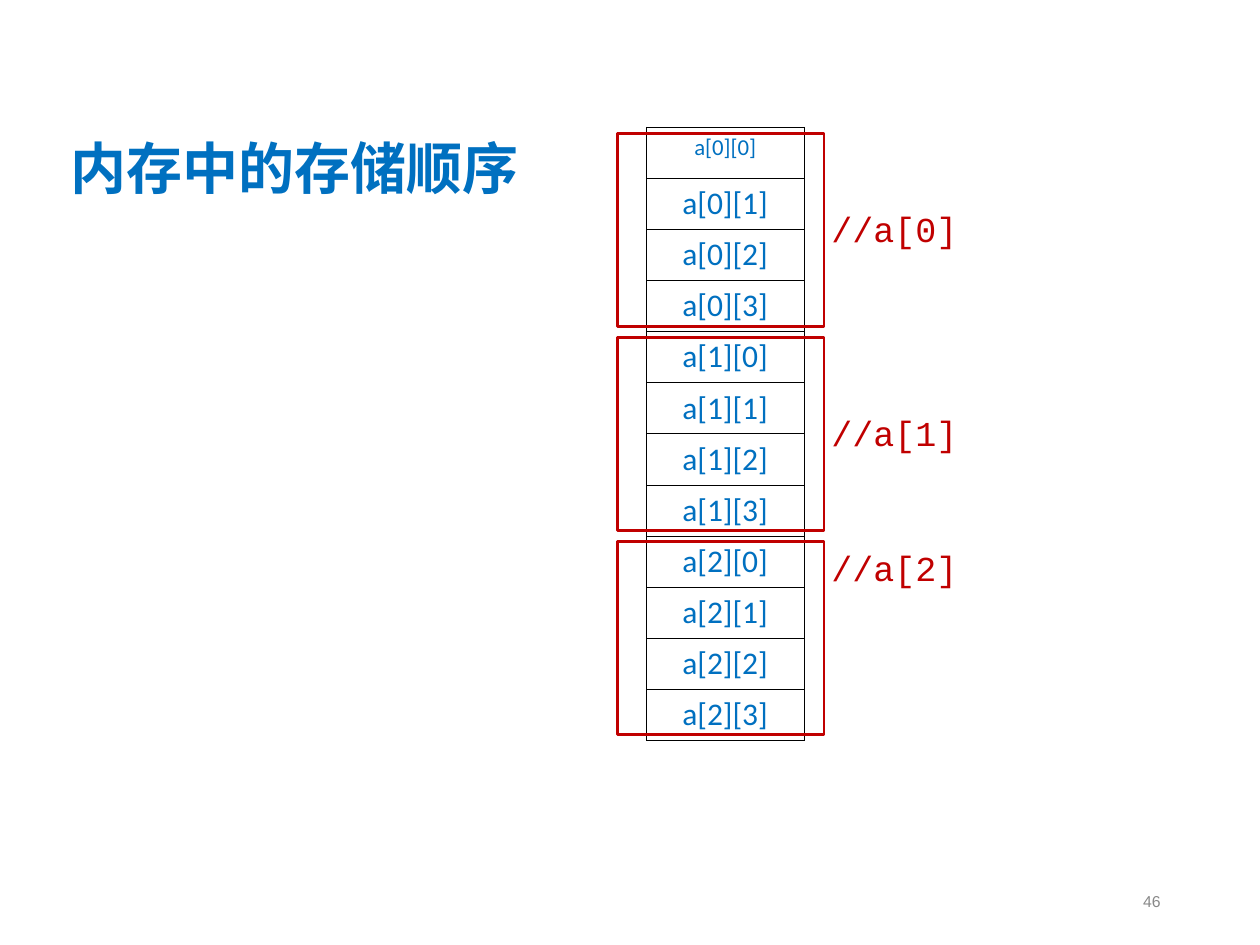
import pptx
import pptx.dml.color
import pptx.enum.shapes
import pptx.enum.text
import pptx.oxml
import pptx.oxml.ns
import pptx.util
from pptx.util import Inches

BLUE = "0070C0"
RED = "C00000"
ALIGN = pptx.enum.text.PP_ALIGN


def color(hex_value):
    return pptx.dml.color.RGBColor.from_string(hex_value)


def write(frame, text, size, font, hex_value, align=ALIGN.LEFT, bold=False):
    frame.text = text
    para = frame.paragraphs[0]
    para.alignment = align
    span = para.runs[0]
    span.font.size = pptx.util.Pt(size)
    span.font.name = font
    span.font.bold = bold
    span.font.color.rgb = color(hex_value)


deck = pptx.Presentation()
deck.slide_width = Inches(10)
deck.slide_height = Inches(7.5)
page = deck.slides.add_slide(deck.slide_layouts[6])

# Memory cells: three array rows of four elements, stacked in one column
ROWS, COLUMNS = 3, 4
memory = page.shapes.add_table(
    ROWS * COLUMNS, 1, Inches(5.13), Inches(1.01), Inches(1.25), Inches(4.87)
).table
memory.first_row = False
memory.horz_banding = False
for index in range(ROWS * COLUMNS):
    cell = memory.cell(index, 0)
    cell.fill.solid()
    cell.fill.fore_color.rgb = color("FFFFFF")
    row, column = divmod(index, COLUMNS)
    size = 13 if index == 0 else 18
    write(cell.text_frame, f"a[{row}][{column}]", size, "Calibri", BLUE, ALIGN.CENTER)
    # Borders stand before the fill in the cell properties
    properties = cell._tc.get_or_add_tcPr()
    for position, side in enumerate(("lnL", "lnR", "lnT", "lnB")):
        border = pptx.oxml.parse_xml(
            f'<a:{side} {pptx.oxml.ns.nsdecls("a")} w="{pptx.util.Pt(0.45)}">'
            '<a:solidFill><a:srgbClr val="000000"/></a:solidFill>'
            f"</a:{side}>"
        )
        properties.insert(position, border)

# Title
title = page.shapes.add_textbox(Inches(0.46), Inches(1.01), Inches(4.77), Inches(0.64))
title.text_frame.word_wrap = True
write(title.text_frame, "内存中的存储顺序", 32, "Arial", BLUE, bold=True)

# One labelled frame around each array row
for row, label_top in enumerate((1.6, 3.22, 4.29)):
    group = page.shapes.add_group_shape()
    label = group.shapes.add_textbox(
        Inches(6.5), Inches(label_top), Inches(1.2), Inches(0.44)
    )
    label.text_frame.word_wrap = False
    write(label.text_frame, f"//a[{row}]", 20, "Courier New", RED)
    outline = group.shapes.add_shape(
        pptx.enum.shapes.MSO_SHAPE.FLOWCHART_PROCESS,
        Inches(4.9), Inches(1.06 + 1.62 * row), Inches(1.64), Inches(1.53),
    )
    outline.shadow.inherit = False
    outline.fill.background()
    outline.line.color.rgb = color(RED)
    outline.line.width = pptx.util.Pt(1.5)

# Page number
number = page.shapes.add_textbox(Inches(7.06), Inches(6.95), Inches(2.25), Inches(0.4))
number.text_frame.word_wrap = True
number.text_frame.vertical_anchor = pptx.enum.text.MSO_ANCHOR.MIDDLE
write(number.text_frame, "46", 9, "Arial", "898989", ALIGN.RIGHT)

deck.save("out.pptx")
